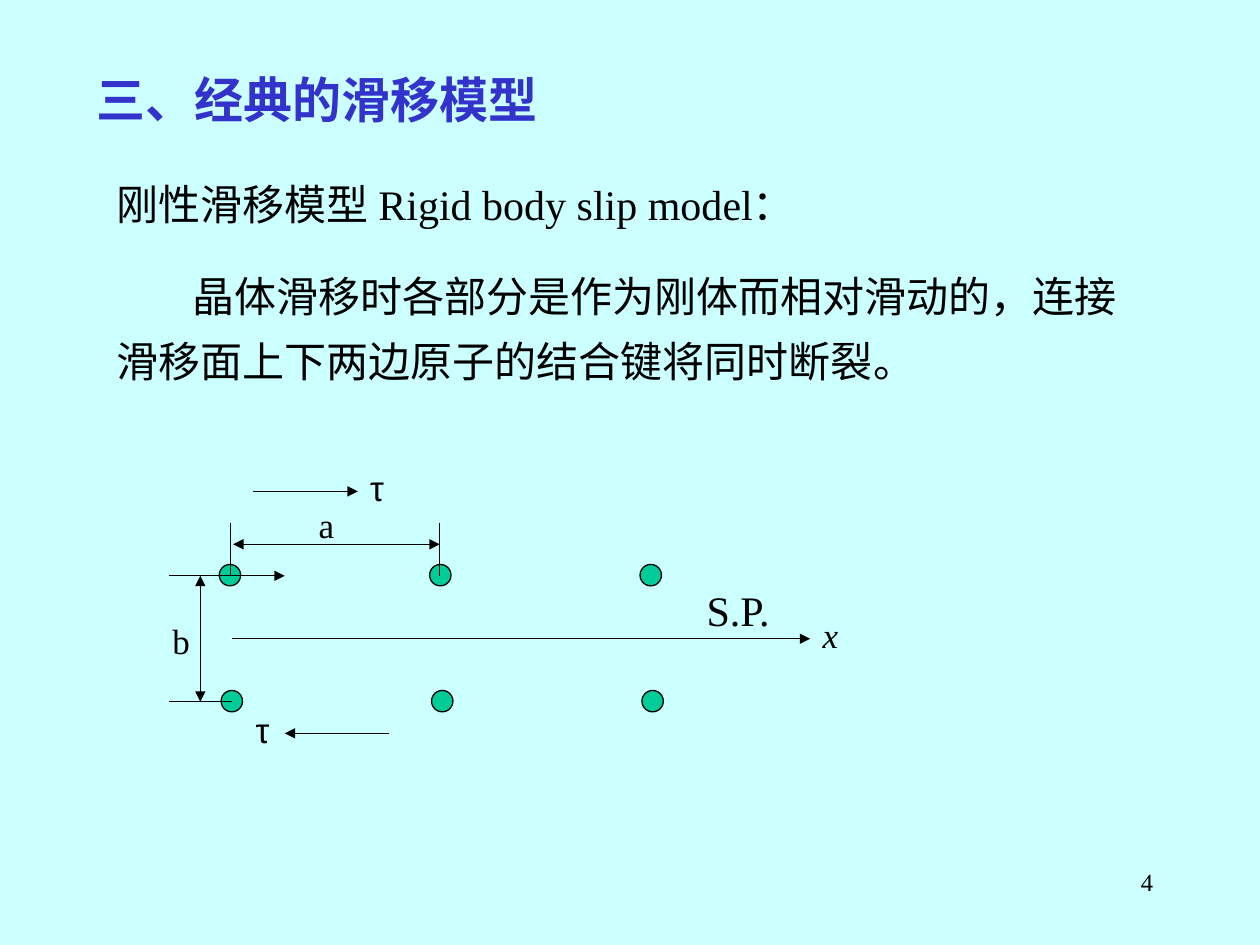
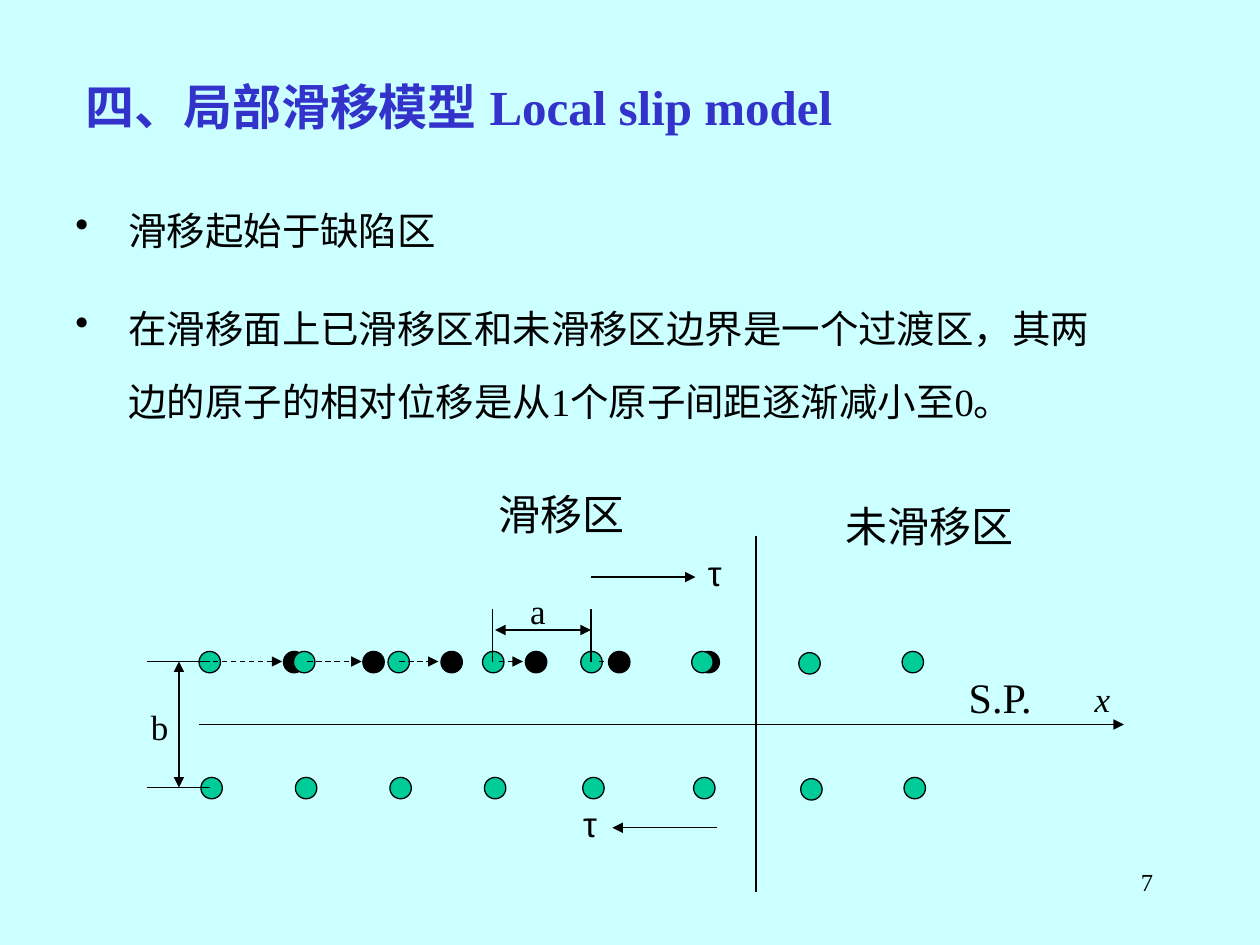
"""Build two slides on the rigid and the local slip models of crystals."""
from dataclasses import dataclass, field
from typing import Any

from lxml import etree
from pptx import Presentation
from pptx import util as u
from pptx.dml.color import RGBColor
from pptx.enum import dml, shapes, text
from pptx.oxml.ns import qn

BACKGROUND = "CCFFFF"
TITLE_COLOR = "3333CC"
INK = "000000"
ATOM = "00CC99"
SERIF = "Times New Roman"
SANS = "Arial"
ATOM_SIZE = 0.17
ROW_GAP = 1.0
LOWER_ROW_SHIFT = 0.015
SHEAR_LENGTH = 0.83

TITLE = {"size": u.Pt(28), "bold": True}
HEADING = {"size": u.Pt(24)}
BULLET = {"size": u.Pt(22)}
LABEL = {"size": u.Pt(20)}
NUMBER = {"size": u.Pt(14)}


@dataclass(frozen=True)
class Run:
    """A stretch of text with its font values."""

    words: str
    font: dict[str, Any]
    color: str = INK


@dataclass(frozen=True)
class Block:
    """A paragraph with its layout values, indents and bullet."""

    runs: list[Run]
    layout: dict[str, Any] = field(default_factory=dict)
    margin: float = 0
    first_line: float = 0
    bullet: str = ""


@dataclass(frozen=True)
class Line:
    """A straight line between two points."""

    start: tuple[float, float]
    end: tuple[float, float]
    head: bool = False
    tail: bool = False
    dashed: bool = False
    width: float = 0.75


@dataclass(frozen=True)
class Atom:
    """A round atom placed by its left top corner."""

    left: float
    top: float
    color: str = ATOM


def color_of(value: str) -> RGBColor:
    """Turn a hex string into a colour."""
    return RGBColor.from_string(value)


def apply_format(target: Any, values: dict[str, Any]) -> None:
    """Set every format value on the target."""
    for name, value in values.items():
        setattr(target, name, value)


def add_text(parent: Any, box: tuple[float, float, float, float], blocks: list[Block]) -> None:
    """Add a wrapping text box filled with paragraphs."""
    frame = parent.shapes.add_textbox(*map(u.Inches, box)).text_frame
    frame.word_wrap = True
    for index, block in enumerate(blocks):
        paragraph = frame.add_paragraph() if index else frame.paragraphs[0]
        properties = paragraph._p.get_or_add_pPr()
        if block.margin or block.first_line:
            properties.set("marL", str(u.Inches(block.margin)))
            properties.set("indent", str(u.Inches(block.first_line)))
        if block.bullet:
            etree.SubElement(properties, qn("a:buChar")).set("char", block.bullet)
        apply_format(paragraph, block.layout)
        for part in block.runs:
            run = paragraph.add_run()
            run.text = part.words
            apply_format(run.font, {"name": SERIF} | part.font)
            run.font.color.rgb = color_of(part.color)


def add_label(parent: Any, words: str, left: float, top: float, **font: Any) -> None:
    """Add a one-letter label."""
    add_text(parent, (left, top, 0.34, 0.44), [Block([Run(words, LABEL | font)])])


def add_caption(parent: Any, words: str, left: float, top: float, width: float,
                alignment: Any = text.PP_ALIGN.LEFT) -> None:
    """Add a caption in heading size."""
    block = Block([Run(words, HEADING)], {"alignment": alignment})
    add_text(parent, (left, top, width, 0.5), [block])


def add_line(parent: Any, line: Line) -> None:
    """Draw a line with optional arrowheads."""
    points = map(u.Inches, (*line.start, *line.end))
    connector = parent.shapes.add_connector(shapes.MSO_CONNECTOR.STRAIGHT, *points)
    connector.line.color.rgb = color_of(INK)
    connector.line.width = u.Pt(line.width)
    if line.dashed:
        connector.line.dash_style = dml.MSO_LINE.DASH
    outline = connector.line._get_or_add_ln()
    for tag, wanted in (("a:headEnd", line.head), ("a:tailEnd", line.tail)):
        if wanted:
            etree.SubElement(outline, qn(tag)).set("type", "triangle")
    etree.SubElement(connector._element.spPr, qn("a:effectLst"))


def add_atom(parent: Any, atom: Atom) -> None:
    """Draw an atom."""
    box = map(u.Inches, (atom.left, atom.top, ATOM_SIZE, ATOM_SIZE))
    shape = parent.shapes.add_shape(shapes.MSO_SHAPE.OVAL, *box)
    shape.shadow.inherit = False
    shape.fill.solid()
    shape.fill.fore_color.rgb = color_of(atom.color)
    shape.line.color.rgb = color_of(INK)
    shape.line.width = u.Pt(0.75)


def add_rows(parent: Any, upper_row: list[Atom]) -> None:
    """Draw the upper row of atoms and its match below the slip plane."""
    for atom in upper_row:
        add_atom(parent, atom)
        add_atom(parent, Atom(atom.left + LOWER_ROW_SHIFT, atom.top + ROW_GAP))


def add_row_distance(parent: Any, left: float, top: float) -> None:
    """Draw the distance b between the two rows."""
    for y in (top, top + ROW_GAP):
        add_line(parent, Line((left, y), (left + 0.5, y)))
    middle = left + 0.25
    add_line(parent, Line((middle, top), (middle, top + ROW_GAP), head=True, tail=True))
    add_label(parent, "b", left - 0.07, top + 0.3)


def add_atom_distance(parent: Any, left: float, right: float, row: float, label: float) -> None:
    """Draw the distance a between neighbouring atoms."""
    for x in (left, right):
        add_line(parent, Line((x, row), (x, row - 0.42)))
    y = row - 0.25
    add_line(parent, Line((left + 0.02, y), (right, y), head=True, tail=True))
    add_label(parent, "a", label, row - 0.62)


def add_shear(parent: Any, start: float, y: float, direction: int) -> None:
    """Draw a shear stress arrow with its symbol at the tip."""
    tip = start + direction * SHEAR_LENGTH
    add_line(parent, Line((start, y), (tip, y), tail=True))
    add_label(parent, "τ", tip if direction > 0 else tip - 0.33, y - 0.25, name=SANS)


def add_slip_plane(parent: Any, start: float, end: float, y: float,
                   plane: tuple[float, float], axis: tuple[float, float]) -> None:
    """Draw the slip plane as the x axis with its labels."""
    add_line(parent, Line((start, y), (end, y), tail=True))
    add_caption(parent, "S.P.", *plane, 1.17)
    add_label(parent, "x", *axis, italic=True)


def add_slide(presentation: Any, number: str, box: tuple[float, float, float, float],
              title: list[Run]) -> Any:
    """Add a blank slide with background, title and slide number."""
    slide = presentation.slides.add_slide(presentation.slide_layouts[6])
    slide.background.fill.solid()
    slide.background.fill.fore_color.rgb = color_of(BACKGROUND)
    right = {"alignment": text.PP_ALIGN.RIGHT}
    add_text(slide, (7.17, 6.83, 2.08, 0.5), [Block([Run(number, NUMBER)], right)])
    add_text(slide, box, [Block(title)])
    return slide


def build_rigid_slip(presentation: Any) -> None:
    """Build the slide on the rigid body slip model."""
    title = [Run("三、经典的滑移模型", TITLE, TITLE_COLOR)]
    slide = add_slide(presentation, "4", (0.67, 0.5, 5.83, 0.75), title)
    spacing = {"line_spacing": 1.3}
    definition = "晶体滑移时各部分是作为刚体而相对滑动的，连接滑移面上下两边原子的结合键将同时断裂。"
    add_text(slide, (0.83, 1.25, 8.42, 1.87), [
        Block([Run("刚性滑移模型 Rigid body slip model：", HEADING)], spacing),
        Block([Run(definition, HEADING)], spacing | {"space_before": u.Pt(15)}, first_line=0.6),
    ])
    diagram = slide.shapes.add_group_shape()
    add_slip_plane(diagram, 1.84, 6.43, 5.07, (5.51, 4.59), (6.43, 4.82))
    add_rows(diagram, [Atom(1.74 + 1.67 * column, 4.48) for column in range(3)])
    add_atom_distance(diagram, 1.83, 3.49, 4.57, 2.43)
    add_row_distance(diagram, 1.34, 4.57)
    add_line(diagram, Line((1.84, 4.57), (2.26, 4.57), tail=True))
    add_shear(diagram, 2.01, 3.9, 1)
    add_shear(diagram, 3.09, 5.82, -1)


def build_local_slip(presentation: Any) -> None:
    """Build the slide on the local slip model."""
    title = [
        Run("四、局部滑移模型", TITLE, TITLE_COLOR),
        Run(" ", TITLE | {"size": u.Pt(32)}, TITLE_COLOR),
        Run("Local slip model", TITLE, TITLE_COLOR),
    ]
    slide = add_slide(presentation, "7", (0.58, 0.5, 8.17, 0.75), title)
    points = (
        "滑移起始于缺陷区",
        "在滑移面上已滑移区和未滑移区边界是一个过渡区，其两边的原子的相对位移是从1个原子间距逐渐减小至0。",
    )
    add_text(slide, (0.5, 1.37, 8.42, 2.05), [
        Block([Run(point, BULLET)],
              {"line_spacing": 1.6, "space_before": u.Pt(13.8 if index else 0)},
              0.42, -0.42, "•")
        for index, point in enumerate(points)
    ])
    diagram = slide.shapes.add_group_shape()
    row = 5.25
    for left in (2.25, 2.88, 3.5, 4.17, 4.83, 5.54):
        add_atom(diagram, Atom(left, 5.17, INK))
    slipped = [Atom(left, 5.17) for left in (1.58, 2.33, 3.08, 3.83, 4.61, 5.49)]
    add_rows(diagram, slipped + [Atom(6.34, 5.18), Atom(7.16, 5.17)])
    add_slip_plane(diagram, 1.58, 8.92, 5.75, (7.59, 5.28), (8.59, 5.33))
    add_atom_distance(diagram, 3.91, 4.69, row, 4.11)
    add_row_distance(diagram, 1.17, row)
    add_shear(diagram, 4.69, 4.58, 1)
    add_shear(diagram, 5.69, 6.57, -1)
    for start, end in ((1.69, 2.24), (2.44, 2.87), (3.17, 3.48), (3.96, 4.15), (4.75, 4.94)):
        add_line(diagram, Line((start, row), (end, row), tail=True, dashed=True))
    add_line(diagram, Line((6, 4.25), (6, 7.08), width=1))
    add_caption(diagram, "滑移区", 3.58, 3.83, 1.75, text.PP_ALIGN.CENTER)
    add_caption(diagram, "未滑移区", 6.5, 3.92, 1.75, text.PP_ALIGN.CENTER)


def main() -> None:
    """Build and save the presentation."""
    presentation = Presentation()
    apply_format(presentation, {"slide_width": u.Inches(10), "slide_height": u.Inches(7.5)})
    build_rigid_slip(presentation)
    build_local_slip(presentation)
    presentation.save("out.pptx")


if __name__ == "__main__":
    main()
